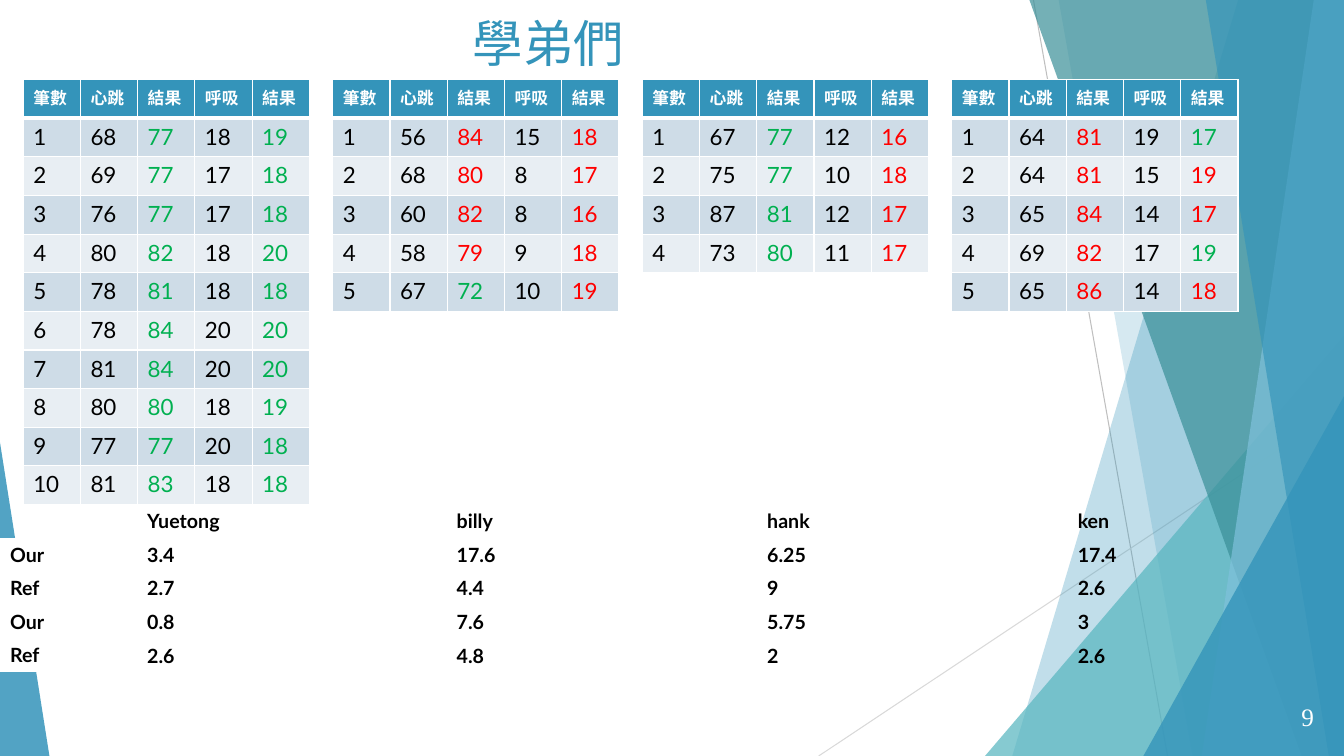
from lxml import etree
from pptx import Presentation
from pptx import util as u
from pptx.dml.color import RGBColor
from pptx.enum import shapes, text
from pptx.oxml import ns

COLORS = {
    "blue": "3494BA", "sky": "7FC1DB", "teal": "58B6C0", "deep_teal": "3A8F98",
    "gray": "BFBFBF", "light_gray": "D9D9D9", "white": "FFFFFF", "black": "000000",
    "odd_row": "CEDCE7", "even_row": "E8EEF3", "good": "00B050", "bad": "FF0000",
}
CJK_FONT = "Noto Sans CJK SC"
NO_STYLE = "{2D5ABB26-0587-4C30-8999-92F81FD0307C}"
WIDTH, HEIGHT = 13.33, 7.5


def format_text(frame, size, color, font="Lato", bold=False):
    run = frame.paragraphs[0].runs[0]
    run.font.size = u.Pt(size)
    run.font.bold = bold
    run.font.color.rgb = RGBColor.from_string(COLORS[color])
    run.font.name = font
    east_asian = etree.SubElement(run.font._element, ns.qn("a:ea"))
    east_asian.set("typeface", CJK_FONT)


def fill_shape(shape, color, opacity):
    shape.shadow.inherit = False
    shape.line.fill.background()
    shape.fill.solid()
    shape.fill.fore_color.rgb = RGBColor.from_string(COLORS[color])
    color_element = shape._element.spPr.find(".//" + ns.qn("a:srgbClr"))
    alpha = etree.SubElement(color_element, ns.qn("a:alpha"))
    alpha.set("val", str(opacity * 1000))


presentation = Presentation()
presentation.slide_width = u.Inches(WIDTH)
presentation.slide_height = u.Inches(HEIGHT)
slide = presentation.slides.add_slide(presentation.slide_layouts[5])

# Thin background lines
for x1, y1, x2, y2, color in [(10.25, 0, 11.58, HEIGHT, "gray"),
                              (WIDTH, 4.03, 8.12, HEIGHT, "light_gray")]:
    line = slide.shapes.add_connector(shapes.MSO_CONNECTOR.STRAIGHT, u.Inches(x1),
                                      u.Inches(y1), u.Inches(x2), u.Inches(y2))
    line.line.color.rgb = RGBColor.from_string(COLORS[color])
    line.line.width = u.Pt(0.75)
    etree.SubElement(line._element.spPr, ns.qn("a:effectLst"))

# Facets: bands (top x, bottom x) reach the right edge; triangles (left, top, width, apex) the bottom
facets = [
    ("band", (12.28, 10.04), "blue", 30),
    ("band", (10.5, 11.83), "blue", 20),
    ("triangle", (9.77, 3.33, 3.56, 1), "teal", 72),
    ("band", (10.21, 12.91), "deep_teal", 70),
    ("band", (13.03, 11.92), "sky", 70),
    ("band", (11.96, 13.18), "blue", 65),
    ("triangle", (11.34, 3.93, 1.99, 1), "blue", 80),
    ("triangle", (0, 4.39, 0.49, 0), "blue", 85),
]
for kind, geometry, color, opacity in facets:
    if kind == "band":
        top_x, bottom_x = geometry
        builder = slide.shapes.build_freeform(u.Inches(top_x), 0)
        corners = [(WIDTH, 0), (WIDTH, HEIGHT), (bottom_x, HEIGHT)]
        builder.add_line_segments([(u.Inches(x), u.Inches(y)) for x, y in corners])
        facet = builder.convert_to_shape()
    else:
        left, top, width, apex = geometry
        facet = slide.shapes.add_shape(
            shapes.MSO_SHAPE.ISOSCELES_TRIANGLE, u.Inches(left), u.Inches(top),
            u.Inches(width), u.Inches(HEIGHT - top))
        facet.adjustments[0] = apex
    fill_shape(facet, color, opacity)

# Title
title = slide.shapes.title
title.left, title.top = u.Inches(0.74), u.Inches(0.07)
title.width, title.height = u.Inches(9.4), u.Inches(1.44)
title.text_frame.text = "學弟們"
title.text_frame.vertical_anchor = text.MSO_ANCHOR.TOP
title.text_frame.paragraphs[0].alignment = text.PP_ALIGN.CENTER
format_text(title.text_frame, 36, "blue", CJK_FONT)

# Slide number
number = slide.shapes.add_textbox(u.Inches(12.38), u.Inches(6.91), u.Inches(0.75), u.Inches(0.4))
number.text_frame.word_wrap = True
number.text_frame.text = "9"
number.text_frame.vertical_anchor = text.MSO_ANCHOR.MIDDLE
number.text_frame.paragraphs[0].alignment = text.PP_ALIGN.RIGHT
format_text(number.text_frame, 18, "white", "Times New Roman")

# Measurements per person: heart rate, result, breathing, result
headers = ["筆數", "心跳", "結果", "呼吸", "結果"]
people = [
    [(68, 77, 18, 19), (69, 77, 17, 18), (76, 77, 17, 18), (80, 82, 18, 20), (78, 81, 18, 18),
     (78, 84, 20, 20), (81, 84, 20, 20), (80, 80, 18, 19), (77, 77, 20, 18), (81, 83, 18, 18)],
    [(56, 84, 15, 18), (68, 80, 8, 17), (60, 82, 8, 16), (58, 79, 9, 18), (67, 72, 10, 19)],
    [(67, 77, 12, 16), (75, 77, 10, 18), (87, 81, 12, 17), (73, 80, 11, 17)],
    [(64, 81, 19, 17), (64, 81, 15, 19), (65, 84, 14, 17), (69, 82, 17, 19), (65, 86, 14, 18)],
]
tolerances = {2: 10, 4: 2}  # largest accepted error by result column
table_width, row_height = 2.84, 2.3 / 6
for person, readings in enumerate(people):
    rows = [headers] + [(index, *reading) for index, reading in enumerate(readings, 1)]
    table = slide.shapes.add_table(
        len(rows), len(headers), u.Inches(0.23 + 3.07 * person), u.Inches(0.79),
        u.Inches(table_width), u.Inches(row_height * len(rows))).table
    table._tbl.tblPr[0].text = NO_STYLE
    for r, row in enumerate(rows):
        for c, value in enumerate(row):
            cell = table.cell(r, c)
            cell.text_frame.text = str(value)
            cell.fill.solid()
            if r == 0:
                background, color = "blue", "white"
            else:
                background = "odd_row" if r % 2 else "even_row"
                color = "black"
                if c in tolerances:
                    color = "good" if abs(value - row[c - 1]) <= tolerances[c] else "bad"
            cell.fill.fore_color.rgb = RGBColor.from_string(COLORS[background])
            format_text(cell.text_frame, 16 if r else 12, color, bold=r == 0)
            # White borders, thicker between the header and the readings
            for position, side in enumerate(["lnL", "lnR", "lnT", "lnB"]):
                thick = (r, side) in [(0, "lnB"), (1, "lnT")]
                border = etree.Element(ns.qn("a:" + side), w=str(u.Pt(3 if thick else 1)))
                solid = etree.SubElement(border, ns.qn("a:solidFill"))
                etree.SubElement(solid, ns.qn("a:srgbClr"), val=COLORS["white"])
                cell._tc.tcPr.insert(position, border)

# Average errors
summary = [
    ["", "Yuetong", "billy", "hank", "ken"],
    ["Our", "3.4", "17.6", "6.25", "17.4"],
    ["Ref", "2.7", "4.4", "9", "2.6"],
    ["Our", "0.8", "7.6", "5.75", "3"],
    ["Ref", "2.6", "4.8", "2", "2.6"],
]
table = slide.shapes.add_table(5, 5, 0, u.Inches(5), u.Inches(12.28), u.Inches(1.67)).table
table._tbl.tblPr[0].text = NO_STYLE
for column, width in zip(table.columns, [1.36, 3.07, 3.08, 3.08, 1.69]):
    column.width = u.Inches(width)
for r, row in enumerate(summary):
    for c, value in enumerate(row):
        cell = table.cell(r, c)
        if r and c == 0:
            cell.fill.solid()
            cell.fill.fore_color.rgb = RGBColor.from_string(COLORS["white"])
        else:
            cell.fill.background()
        if value:
            cell.text_frame.text = value
            format_text(cell.text_frame, 14, "black", bold=True)
        else:
            cell.text_frame.paragraphs[0].font.size = u.Pt(14)
        if c:
            cell.vertical_anchor = text.MSO_ANCHOR.MIDDLE

presentation.save("out.pptx")
